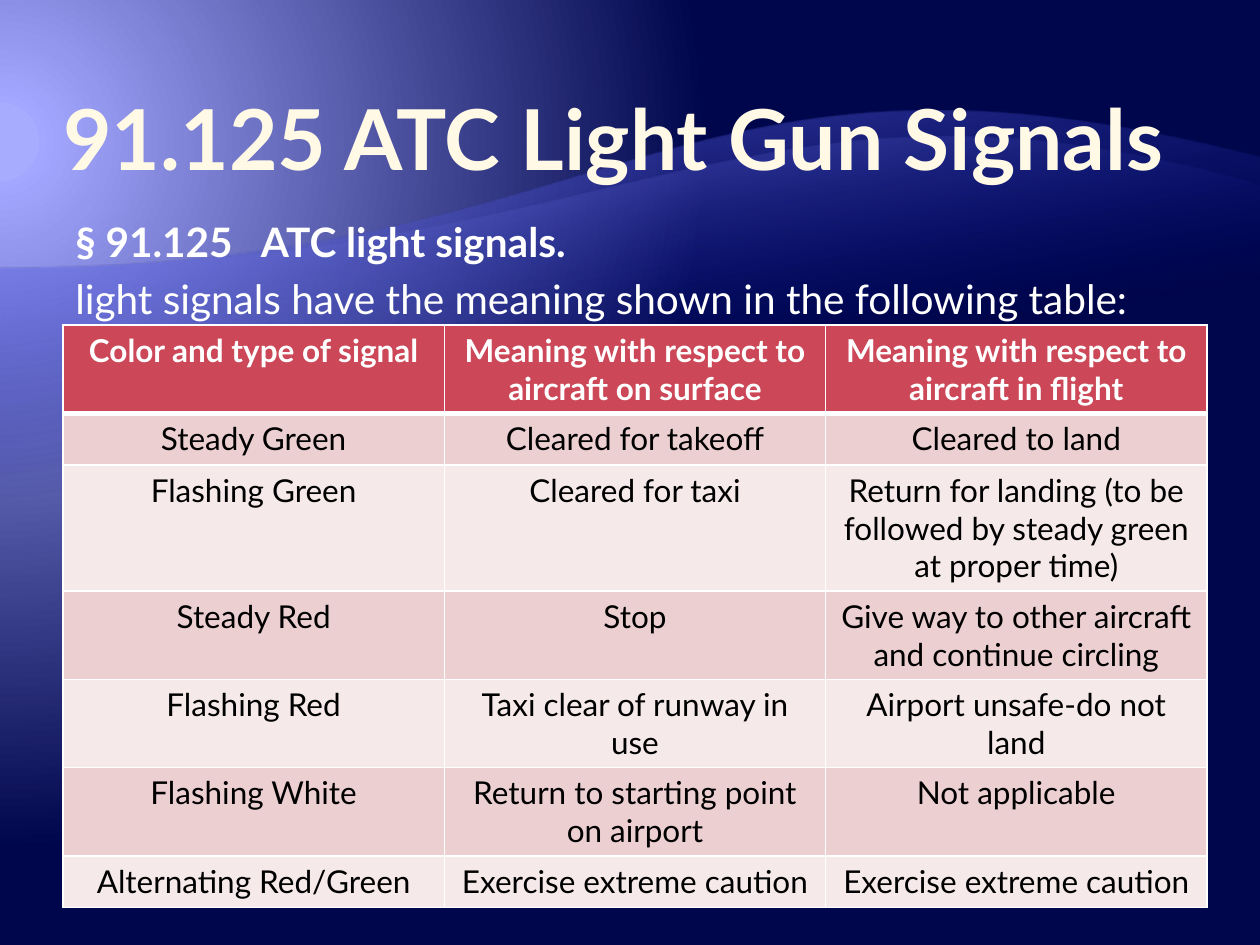
"""Build the ATC light gun signals slide."""
import pptx
import pptx.dml.color
import pptx.enum.text
import pptx.oxml
import pptx.oxml.ns
import pptx.util

In, Pt = pptx.util.Inches, pptx.util.Pt
ENUM = pptx.enum.text

TITLE = "91.125 ATC Light Gun Signals"
INTRO = [
    ("§\u00a091.125\u00a0\u00a0\u00a0ATC light signals.", True),
    ("light signals have the meaning shown in the following table:", False),
]
SIGNALS = [
    ("Color and type of signal", "Meaning with respect to aircraft on surface",
     "Meaning with respect to aircraft in flight"),
    ("Steady Green", "Cleared for takeoff", "Cleared to land"),
    ("Flashing Green", "Cleared for taxi",
     "Return for landing (to be followed by steady green at proper time)"),
    ("Steady Red", "Stop", "Give way to other aircraft and continue circling"),
    ("Flashing Red", "Taxi clear of runway in use", "Airport unsafe-do not land"),
    ("Flashing White", "Return to starting point on airport", "Not applicable"),
    ("Alternating Red/Green", "Exercise extreme caution", "Exercise extreme caution"),
]
THEME = {
    "font": "Lato", "title": "FFF9E5", "light": "FFFFFF", "dark": "000000",
    "header": "CC4757", "bands": ("F6E9EA", "ECCFD1"),
    "title_size": 48, "intro_size": 23.2, "table_size": 18,
    "glow": [(5, "A8ACFF", 100), (5, "A3A7FF", 100), (90, "00064B", 100)],
}
WAVES = [
    {"left": 2.13, "right": 1.25, "bottom": 7.33, "bends": [(5, 2.13), (5.34, 0.05)],
     "stops": [(65, "000D9E", 0), (100, "797FFF", 55)]},
    {"left": 2.13, "right": 1.47, "bottom": 6.37, "bends": [(5, 2.13), (5.98, 0.31)],
     "stops": [(65, "000D9E", 0), (100, "A3A7FF", 30)]},
]
WAVE_ANGLE = 260
NS = pptx.oxml.ns.nsdecls("a", "p")


def gradient(stops, direction):
    """Return a gradient fill element."""
    gs = "".join(
        f'<a:gs pos="{pos * 1000}"><a:srgbClr val="{color}">'
        f'<a:alpha val="{alpha * 1000}"/></a:srgbClr></a:gs>'
        for pos, color, alpha in stops)
    return pptx.oxml.parse_xml(
        f'<a:gradFill {NS} rotWithShape="1"><a:gsLst>{gs}</a:gsLst>{direction}</a:gradFill>')


def style(p, size, color, bold):
    """Format every run of a paragraph."""
    for r in p.runs:
        r.font.name, r.font.size, r.font.bold = THEME["font"], Pt(size), bold
        r.font.color.rgb = pptx.dml.color.RGBColor.from_string(color)


def add_wave(slide, wave, index):
    """Add a translucent curved band behind the content."""
    width, top = prs.slide_width, wave["right"]
    builder = slide.shapes.build_freeform(width, In(wave["bottom"]))
    builder.add_line_segments([(0, In(wave["bottom"])), (0, In(wave["left"])), (width, In(top))])
    sp = builder.convert_to_shape()
    sp.shadow.inherit = False
    sp.line.fill.background()
    sp.fill.background()
    none = sp._element.spPr.find(pptx.oxml.ns.qn("a:noFill"))
    none.getparent().replace(none, gradient(
        wave["stops"], f'<a:lin ang="{WAVE_ANGLE * 60000}" scaled="0"/>'))
    edge = sp._element.findall(".//" + pptx.oxml.ns.qn("a:lnTo"))[2]
    pts = "".join(f'<a:pt x="{In(x)}" y="{In(y - top)}"/>'
                  for x, y in wave["bends"] + [(10, top)])
    edge.getparent().replace(edge, pptx.oxml.parse_xml(
        f"<a:cubicBezTo {NS}>{pts}</a:cubicBezTo>"))
    slide.shapes._spTree.insert(2 + index, sp._element)


def set_border(cell, widths):
    """Draw the four borders of a cell."""
    pr = cell._tc.get_or_add_tcPr()
    for i, (side, width) in enumerate(widths.items()):
        pr.insert(i, pptx.oxml.parse_xml(
            f'<a:ln{side} {NS} w="{Pt(width)}"><a:solidFill>'
            f'<a:srgbClr val="{THEME["light"]}"/></a:solidFill></a:ln{side}>'))


prs = pptx.Presentation()
prs.slide_width, prs.slide_height = In(10), In(7.5)
s = prs.slides.add_slide(prs.slide_layouts[5])

bg = pptx.oxml.parse_xml(f"<p:bg {NS}><p:bgPr><a:effectLst/></p:bgPr></p:bg>")
bg[0].insert(0, gradient(THEME["glow"], '<a:path path="circle"><a:fillToRect l="20000" '
                         't="30000" r="135000" b="100000"/></a:path>'))
s._element.cSld.insert(0, bg)
for i, wave in enumerate(WAVES):
    add_wave(s, wave, i)

title = s.shapes.title
title.left, title.top, title.width, title.height = In(0.5), In(0.58), In(9), In(0.92)
tf = title.text_frame
tf.text = TITLE
tf.auto_size = ENUM.MSO_AUTO_SIZE.NONE
tf.vertical_anchor = ENUM.MSO_ANCHOR.BOTTOM
tf.margin_left = tf.margin_right = 0
tf.margin_top = tf.margin_bottom = In(0.01)
tf.paragraphs[0].alignment = ENUM.PP_ALIGN.LEFT
style(tf.paragraphs[0], THEME["title_size"], THEME["title"], True)

tf = s.shapes.add_textbox(In(0.5), In(1.67), In(9), In(1.08)).text_frame
tf.word_wrap = True
tf.text = "\n".join(text for text, bold in INTRO)
for p, (text, bold) in zip(tf.paragraphs, INTRO):
    p.space_before = Pt(0.2 * THEME["intro_size"])
    pPr = p._p.get_or_add_pPr()
    pPr.set("marL", str(In(0.35)))
    pPr.set("indent", str(-In(0.35)))
    style(p, THEME["intro_size"], THEME["light"], bold)

rows, cols = len(SIGNALS), len(SIGNALS[0])
table = s.shapes.add_table(rows, cols, In(0.5), In(2.58), In(9.08), In(0.41 * rows)).table
for i, signal in enumerate(SIGNALS):
    head = i == 0
    for j, text in enumerate(signal):
        cell = table.cell(i, j)
        cell.text = text
        cell.fill.solid()
        cell.fill.fore_color.rgb = pptx.dml.color.RGBColor.from_string(
            THEME["header"] if head else THEME["bands"][i % 2])
        p = cell.text_frame.paragraphs[0]
        p.alignment = ENUM.PP_ALIGN.CENTER
        style(p, THEME["table_size"], THEME["light" if head else "dark"], head)
        set_border(cell, {"L": 1, "R": 1, "T": 3 if i == 1 else 1, "B": 3 if head else 1})

prs.save("out.pptx")
